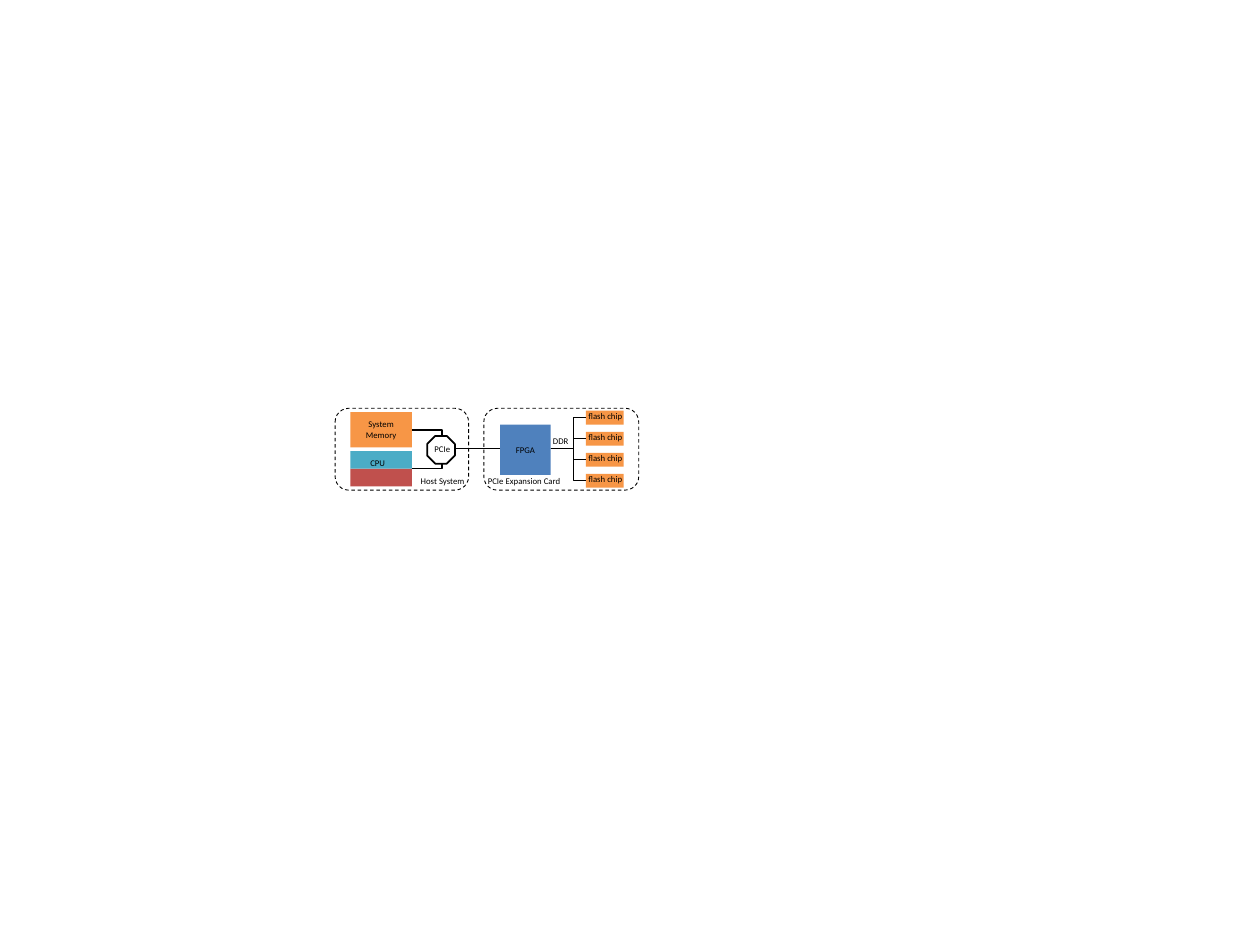
from lxml import etree
from pptx import Presentation
from pptx.dml.color import RGBColor
from pptx.enum.dml import MSO_LINE
from pptx.enum.shapes import MSO_CONNECTOR, MSO_SHAPE
from pptx.enum.text import MSO_ANCHOR, PP_ALIGN
from pptx.oxml.ns import qn
from pptx.util import Inches, Pt

COLORS = {"ink": "000000", "paper": "FFFFFF", "memory": "F79646",
          "fpga": "4F81BD", "cpu": "4BACC6", "cache": "C0504D"}
HOST_BOX = (2.66, 3.24, 1.06, 0.65)
CARD_BOX = (3.84, 3.24, 1.23, 0.65)
BUS_Y = 3.56


def rgb(name):
    """Return the named palette colour."""
    return RGBColor.from_string(COLORS[name])


def write(shape, text, align=PP_ALIGN.LEFT, anchor=MSO_ANCHOR.TOP,
          insets=(0, 0, 0, 0), wrap=True):
    """Set the shape's text, one paragraph per line."""
    frame = shape.text_frame
    frame.word_wrap = wrap
    frame.vertical_anchor = anchor
    (frame.margin_left, frame.margin_top,
     frame.margin_right, frame.margin_bottom) = map(Inches, insets)
    frame.text = text
    for paragraph in frame.paragraphs:
        paragraph.alignment = align
        font = paragraph.runs[0].font
        font.name, font.size = "Calibri", Pt(5)
        font.color.rgb = rgb("ink")


def block(shapes, kind, box, fill, line=None, dash=None):
    """Add a filled shape with an optional outline."""
    shape = shapes.add_shape(kind, *map(Inches, box))
    shape.shadow.inherit = False
    shape.fill.solid()
    shape.fill.fore_color.rgb = rgb(fill)
    if line is None:
        shape.line.fill.background()
    else:
        shape.line.color.rgb = rgb("ink")
        shape.line.width = Pt(line)
        shape.line.dash_style = dash
    return shape


def label(shapes, box, text):
    """Add a free text label."""
    write(shapes.add_textbox(*map(Inches, box)), text,
          insets=(0.1, 0.05, 0.1, 0.05))


def elbow(shapes, start, end, bend, width):
    """Add an elbow line that turns at a share of its width."""
    line = shapes.add_connector(MSO_CONNECTOR.ELBOW,
                                *map(Inches, (*start, *end)))
    line.line.color.rgb = rgb("ink")
    line.line.width = Pt(width)
    properties = line._element.spPr
    guides = properties.find(qn("a:prstGeom")).get_or_add_avLst()
    etree.SubElement(guides, qn("a:gd"), name="adj1",
                     fmla=f"val {round(bend * 100000)}")
    etree.SubElement(properties, qn("a:effectLst"))


def frame(shapes, box, title, align):
    """Add a dashed rounded system frame titled at its foot."""
    shape = block(shapes, MSO_SHAPE.ROUNDED_RECTANGLE, box, "paper",
                  0.5, MSO_LINE.DASH)
    write(shape, title, align, MSO_ANCHOR.BOTTOM)


def expansion_card(shapes, box):
    """Fill the card with the FPGA and its flash chips."""
    left, top = box[:2]
    frame(shapes, box, "PCIe Expansion Card", PP_ALIGN.LEFT)
    chip_x, chip_h, pitch = left + 0.81, 0.11, 0.167
    chip_tops = [top + 0.02 + row * pitch for row in range(4)]
    chips = shapes.add_group_shape().shapes
    for y in chip_tops:
        chip = block(chips, MSO_SHAPE.RECTANGLE,
                     (chip_x, y, 0.3, chip_h), "memory")
        write(chip, "flash chip", insets=(0.02, 0, 0, 0), wrap=False)
    fpga = block(shapes, MSO_SHAPE.RECTANGLE,
                 (left + 0.13, top + 0.13, 0.4, 0.4), "fpga")
    write(fpga, "FPGA", PP_ALIGN.CENTER, MSO_ANCHOR.MIDDLE, (0.1, 0, 0.1, 0))
    for y in chip_tops:
        elbow(shapes, (left + 0.53, BUS_Y), (chip_x, y + chip_h / 2),
              0.634, 0.5)
    label(shapes, (left + 0.45, top + 0.17, 0.36, 0.19), "DDR")


def host_system(shapes, box, card_box):
    """Fill the host with memory, CPU and the PCIe hub wired to the card."""
    left, top = box[:2]
    unit_x, unit_w = left + 0.12, 0.49
    memory = block(shapes, MSO_SHAPE.RECTANGLE,
                   (unit_x, top + 0.03, unit_w, 0.28), "memory")
    write(memory, "System\nMemory", PP_ALIGN.CENTER, MSO_ANCHOR.MIDDLE,
          wrap=False)
    cpu = shapes.add_group_shape().shapes
    for offset, fill in ((0.48, "cache"), (0.34, "cpu")):
        block(cpu, MSO_SHAPE.RECTANGLE,
              (unit_x, top + offset, unit_w, 0.14), fill)
    label(cpu, (left + 0.18, top + 0.34, 0.39, 0.19), "CPU")
    for offset in (0.17, 0.48):
        elbow(shapes, (unit_x + unit_w, top + offset),
              (card_box[0] + 0.13, BUS_Y), 0.337, 1)
    block(shapes, MSO_SHAPE.OCTAGON,
          (left + 0.73, top + 0.22, 0.22, 0.22), "paper", 1)
    label(shapes, (left + 0.69, top + 0.23, 0.36, 0.19), "PCIe")


presentation = Presentation()
presentation.slide_width, presentation.slide_height = Inches(10), Inches(7.5)
slide = presentation.slides.add_slide(presentation.slide_layouts[6])
frame(slide.shapes, HOST_BOX, "Host System", PP_ALIGN.RIGHT)
expansion_card(slide.shapes, CARD_BOX)
host_system(slide.shapes, HOST_BOX, CARD_BOX)
presentation.save("out.pptx")
